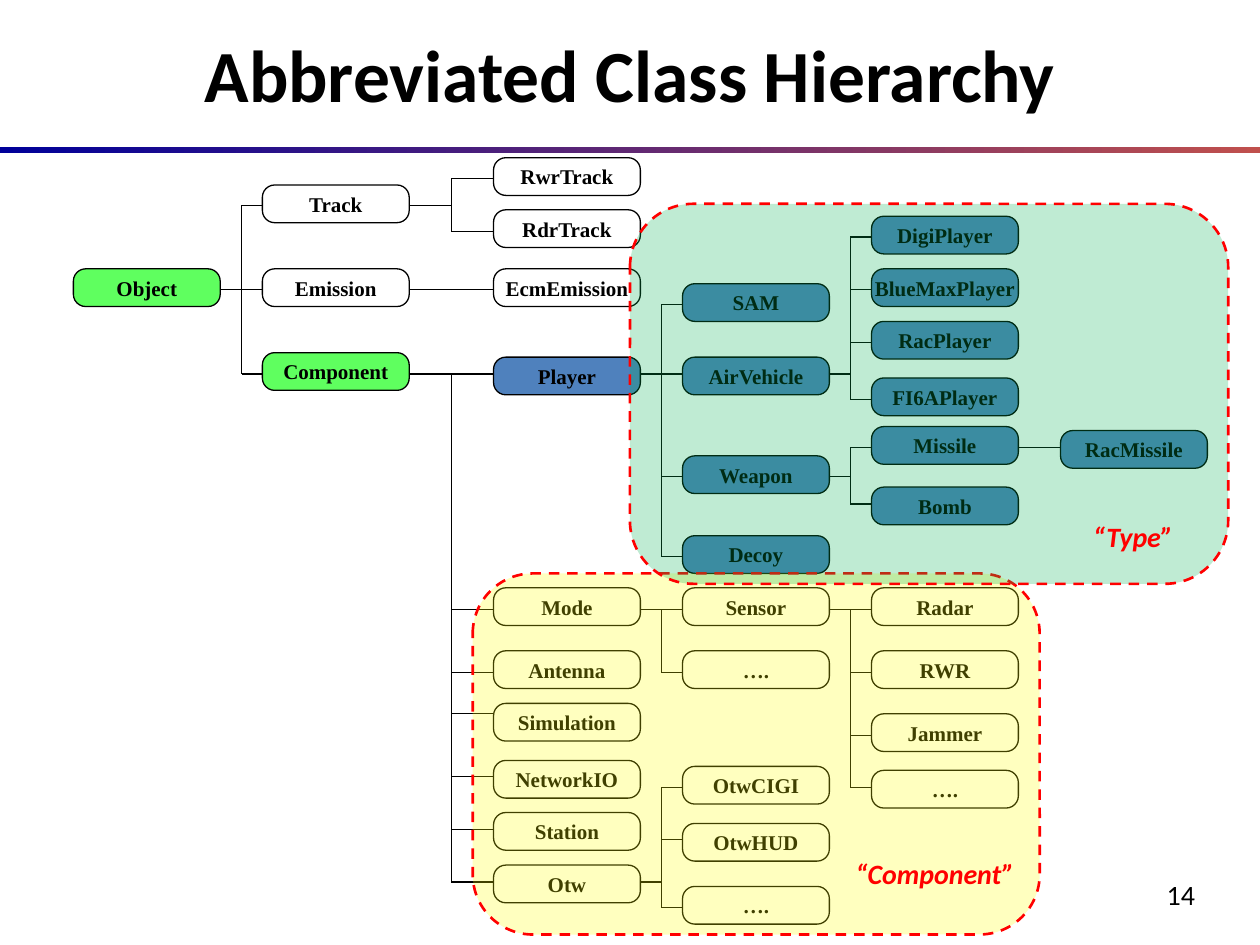
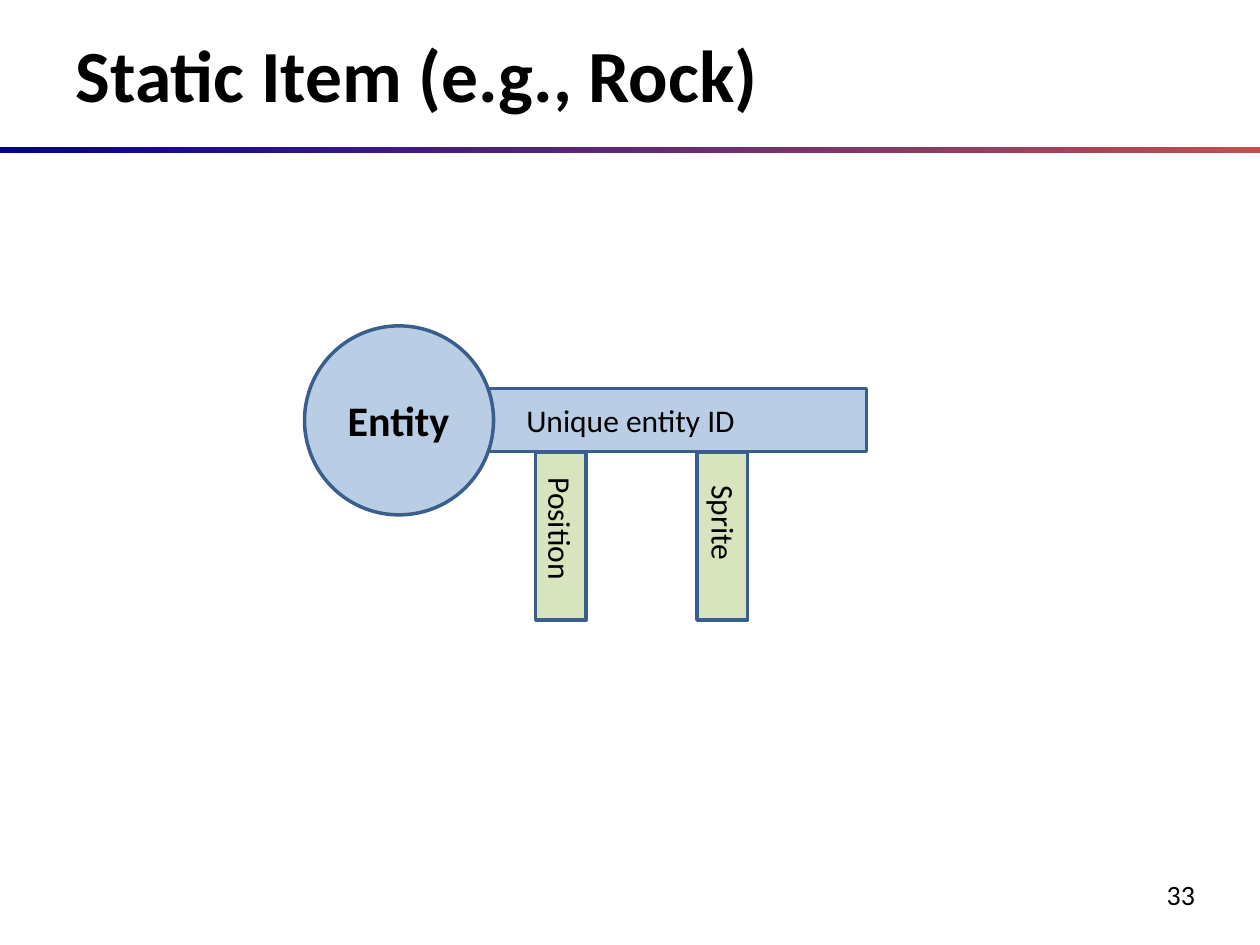
from dataclasses import dataclass
from typing import Optional

from lxml.etree import SubElement
from pptx import Presentation
from pptx.dml.color import RGBColor
from pptx.enum.dml import MSO_LINE
from pptx.enum.shapes import MSO_CONNECTOR, MSO_SHAPE
from pptx.enum.text import MSO_ANCHOR, MSO_AUTO_SIZE, PP_ALIGN
from pptx.oxml.ns import qn
from pptx.shapes.autoshape import Shape
from pptx.slide import Slide
from pptx.util import Cm, Pt


@dataclass(frozen=True)
class Theme:
    font: str = "Calibri"
    class_font: str = "Times New Roman"
    title_size: int = 42
    entity_size: int = 24
    label_size: int = 18
    note_size: int = 16
    class_size: int = 12
    black: str = "000000"
    band_start: str = "000099"
    band_end: str = "C0504D"
    base_class: str = "5FFF5F"
    player_class: str = "4F81BD"
    type_region: str = "00B050"
    component_region: str = "FFFF00"
    red: str = "FF0000"
    entity: str = "B9CDE5"
    component: str = "D7E4BD"
    outline: str = "3A5F8C"


THEME = Theme()


@dataclass(frozen=True)
class Area:
    """Position and size in centimetres."""
    left: float
    top: float
    width: float
    height: float

    def lengths(self) -> tuple[Cm, Cm, Cm, Cm]:
        return Cm(self.left), Cm(self.top), Cm(self.width), Cm(self.height)


@dataclass(frozen=True)
class TextStyle:
    size: int
    font: str = THEME.font
    color: str = THEME.black
    bold: bool = False
    italic: bool = False
    align: PP_ALIGN = PP_ALIGN.LEFT


@dataclass(frozen=True)
class Label:
    text: str
    area: Area
    style: TextStyle
    rotation: int = 0
    wrap: bool = True


@dataclass(frozen=True)
class Region:
    area: Area
    fill: str


@dataclass(frozen=True)
class ClassNode:
    """A class box; its connecting lines meet it at the height `port`."""
    name: str
    top: float
    port: float
    fill: Optional[str] = None
    children: tuple["ClassNode", ...] = ()


TITLE = TextStyle(THEME.title_size, bold=True)
CENTERED_TITLE = TextStyle(THEME.title_size, bold=True, align=PP_ALIGN.CENTER)
NUMBER = TextStyle(THEME.note_size, align=PP_ALIGN.RIGHT)
CLASS_NAME = TextStyle(THEME.class_size, THEME.class_font, bold=True, align=PP_ALIGN.CENTER)
REGION_NAME = TextStyle(THEME.note_size, color=THEME.red, bold=True, italic=True,
                        align=PP_ALIGN.CENTER)
ENTITY_NAME = TextStyle(THEME.entity_size, bold=True, align=PP_ALIGN.CENTER)
KEY_LABEL = TextStyle(THEME.label_size)

# Class hierarchy: one column of boxes per level
COLUMN_LEFTS = (1.48, 5.29, 9.95, 13.76, 17.57, 21.38)
TRUNK_GAPS = (0, 0.42, 0.85, 0.43, 0.43, 0.43)
BOX_WIDTH, BOX_HEIGHT = 2.96, 0.76
BASE, PLAYER = THEME.base_class, THEME.player_class

TRACK = ClassNode("Track", 3.73, 4.14, children=(
    ClassNode("RwrTrack", 3.18, 3.6),
    ClassNode("RdrTrack", 4.23, 4.66),
))
EMISSION = ClassNode("Emission", 5.42, 5.84, children=(
    ClassNode("EcmEmission", 5.42, 5.84),
))
AIR_VEHICLE = ClassNode("AirVehicle", 7.2, 7.54, PLAYER, (
    ClassNode("DigiPlayer", 4.36, 4.78, PLAYER),
    ClassNode("BlueMaxPlayer", 5.42, 5.84, PLAYER),
    ClassNode("RacPlayer", 6.48, 6.9, PLAYER),
    ClassNode("FI6APlayer", 7.62, 8.05, PLAYER),
))
WEAPON = ClassNode("Weapon", 9.19, 9.61, PLAYER, (
    ClassNode("Missile", 8.6, 9.02, PLAYER, (
        ClassNode("RacMissile", 8.68, 9.02, PLAYER),
    )),
    ClassNode("Bomb", 9.82, 10.16, PLAYER),
))
PLAYERS = ClassNode("Player", 7.2, 7.54, PLAYER, (
    ClassNode("SAM", 5.72, 6.14, PLAYER),
    AIR_VEHICLE,
    WEAPON,
    ClassNode("Decoy", 10.8, 11.22, PLAYER),
))
SENSOR = ClassNode("Sensor", 11.85, 12.28, children=(
    ClassNode("Radar", 11.85, 12.28),
    ClassNode("RWR", 13.12, 13.55),
    ClassNode("Jammer", 14.39, 14.82),
    ClassNode("….", 15.53, 15.88),
))
MODE = ClassNode("Mode", 11.85, 12.28, children=(
    SENSOR,
    ClassNode("….", 13.12, 13.55),
))
OTW = ClassNode("Otw", 17.44, 17.78, children=(
    ClassNode("OtwCIGI", 15.45, 15.88),
    ClassNode("OtwHUD", 16.6, 16.93),
    ClassNode("….", 17.87, 18.29),
))
COMPONENT = ClassNode("Component", 7.11, 7.54, BASE, (
    PLAYERS,
    MODE,
    ClassNode("Antenna", 13.12, 13.55),
    ClassNode("Simulation", 14.18, 14.39),
    ClassNode("NetworkIO", 15.33, 15.66),
    ClassNode("Station", 16.38, 16.72),
    OTW,
))
OBJECT = ClassNode("Object", 5.42, 5.84, BASE, (TRACK, EMISSION, COMPONENT))

REGIONS = (
    Region(Area(9.53, 11.56, 11.43, 7.28), THEME.component_region),
    Region(Area(12.7, 4.11, 12.06, 7.66), THEME.type_region),
)
REGION_LABELS = (
    Label("“Type”", Area(21.56, 10.34, 2.57, 0.94), REGION_NAME),
    Label("“Component”", Area(16.59, 17.15, 4.52, 0.94), REGION_NAME),
)

# Entity key
KEY_LABELS = (
    Label("Entity", Area(6.55, 7.82, 2.97, 1.27), ENTITY_NAME),
    Label("Unique entity ID", Area(10.36, 7.95, 5.08, 1.02), KEY_LABEL),
)
TOOTH_LEFTS = (14.05, 10.8)
TOOTH_LABELS = (
    Label("Position", Area(10.01, 10.16, 2.59, 1.02), KEY_LABEL, 90, False),
    Label("Sprite", Area(13.49, 10.13, 2.21, 1.02), KEY_LABEL, 90),
)


# Drawing helpers
def color(value: str) -> RGBColor:
    return RGBColor.from_string(value)


def write_text(shape: Shape, text: str, style: TextStyle) -> None:
    paragraph = shape.text_frame.paragraphs[0]
    paragraph.alignment = style.align
    run = paragraph.add_run()
    run.text = text
    font = run.font
    font.name, font.size = style.font, Pt(style.size)
    font.bold, font.italic = style.bold, style.italic
    font.color.rgb = color(style.color)


def add_label(slide: Slide, label: Label) -> None:
    box = slide.shapes.add_textbox(*label.area.lengths())
    box.rotation = label.rotation
    box.text_frame.word_wrap = label.wrap
    write_text(box, label.text, label.style)


def add_filled_shape(slide: Slide, kind: MSO_SHAPE, area: Area, fill: Optional[str],
                     outline: str, line_width: float) -> Shape:
    shape = slide.shapes.add_shape(kind, *area.lengths())
    shape.shadow.inherit = False
    if fill:
        shape.fill.solid()
        shape.fill.fore_color.rgb = color(fill)
    else:
        shape.fill.background()
    shape.line.color.rgb = color(outline)
    shape.line.width = Pt(line_width)
    return shape


def add_line(slide: Slide, start: tuple[float, float], end: tuple[float, float]) -> None:
    points = [Cm(value) for value in (*start, *end)]
    line = slide.shapes.add_connector(MSO_CONNECTOR.STRAIGHT, *points)
    line.line.color.rgb = color(THEME.black)
    line.line.width = Pt(0.75)
    SubElement(line.element.spPr, qn("a:effectLst"))


def add_titled_slide(presentation: Presentation, text: str, area: Area,
                     style: TextStyle, number: int) -> Slide:
    slide = presentation.slides.add_slide(presentation.slide_layouts[5])
    # Gradient band below the title
    band = slide.shapes.add_shape(MSO_SHAPE.RECTANGLE, *Area(0, 2.96, 25.4, 0.13).lengths())
    band.shadow.inherit = False
    band.line.fill.background()
    band.fill.gradient()
    band.fill.gradient_angle = 0
    for stop, shade in zip(band.fill.gradient_stops, (THEME.band_start, THEME.band_end)):
        stop.color.rgb = color(shade)
    # Title and slide number
    title = slide.shapes.title
    title.left, title.top, title.width, title.height = area.lengths()
    title.text_frame.auto_size = MSO_AUTO_SIZE.NONE
    title.text_frame.vertical_anchor = MSO_ANCHOR.MIDDLE
    write_text(title, text, style)
    add_label(slide, Label(str(number), Area(21.8, 17.57, 2.54, 0.94), NUMBER))
    return slide


# Class hierarchy parts
def add_class_box(slide: Slide, node: ClassNode, level: int) -> None:
    area = Area(COLUMN_LEFTS[level], node.top, BOX_WIDTH, BOX_HEIGHT)
    box = add_filled_shape(slide, MSO_SHAPE.ROUNDED_RECTANGLE, area, node.fill,
                           THEME.black, 0.75)
    box.adjustments[0] = 0.325
    frame = box.text_frame
    frame.word_wrap = False
    frame.vertical_anchor = MSO_ANCHOR.MIDDLE
    frame.margin_left = frame.margin_right = frame.margin_top = frame.margin_bottom = 0
    write_text(box, node.name, CLASS_NAME)


def add_class_tree(slide: Slide, node: ClassNode, level: int = 0) -> None:
    add_class_box(slide, node, level)
    if not node.children:
        return
    child_left = COLUMN_LEFTS[level + 1]
    trunk = child_left - TRUNK_GAPS[level + 1]
    ports = [child.port for child in node.children]
    add_line(slide, (COLUMN_LEFTS[level] + BOX_WIDTH, node.port), (trunk, node.port))
    if len(ports) > 1:
        add_line(slide, (trunk, min(ports + [node.port])), (trunk, max(ports)))
    for child in node.children:
        add_line(slide, (trunk, child.port), (child_left, child.port))
        add_class_tree(slide, child, level + 1)


def add_region(slide: Slide, region: Region) -> None:
    shape = add_filled_shape(slide, MSO_SHAPE.ROUNDED_RECTANGLE, region.area, region.fill,
                             THEME.red, 1.5)
    shape.line.dash_style = MSO_LINE.DASH
    fill_color = shape.element.spPr.find(qn("a:solidFill")).find(qn("a:srgbClr"))
    SubElement(fill_color, qn("a:alpha"), val="25000")


# Slides
def build_hierarchy_slide(presentation: Presentation) -> None:
    slide = add_titled_slide(presentation, "Abbreviated Class Hierarchy",
                             Area(0, 0.42, 25.4, 2.12), CENTERED_TITLE, 14)
    add_class_tree(slide, OBJECT)
    for region in REGIONS:
        add_region(slide, region)
    for label in REGION_LABELS:
        add_label(slide, label)


def build_entity_slide(presentation: Presentation) -> None:
    slide = add_titled_slide(presentation, "Static Item (e.g., Rock)",
                             Area(1.27, 0.42, 23.07, 2.12), TITLE, 33)
    key_parts = (
        (MSO_SHAPE.RECTANGLE, Area(9.53, 7.83, 7.94, 1.27)),
        (MSO_SHAPE.OVAL, Area(6.14, 6.57, 3.81, 3.81)),
    )
    for kind, area in key_parts:
        add_filled_shape(slide, kind, area, THEME.entity, THEME.outline, 2)
    for left in TOOTH_LEFTS:
        add_filled_shape(slide, MSO_SHAPE.RECTANGLE, Area(left, 9.11, 1.02, 3.39),
                         THEME.component, THEME.outline, 2)
    for label in KEY_LABELS + TOOTH_LABELS:
        add_label(slide, label)


def main() -> None:
    presentation = Presentation()
    presentation.slide_width, presentation.slide_height = Cm(25.4), Cm(19.05)
    build_hierarchy_slide(presentation)
    build_entity_slide(presentation)
    presentation.save("out.pptx")


if __name__ == "__main__":
    main()
